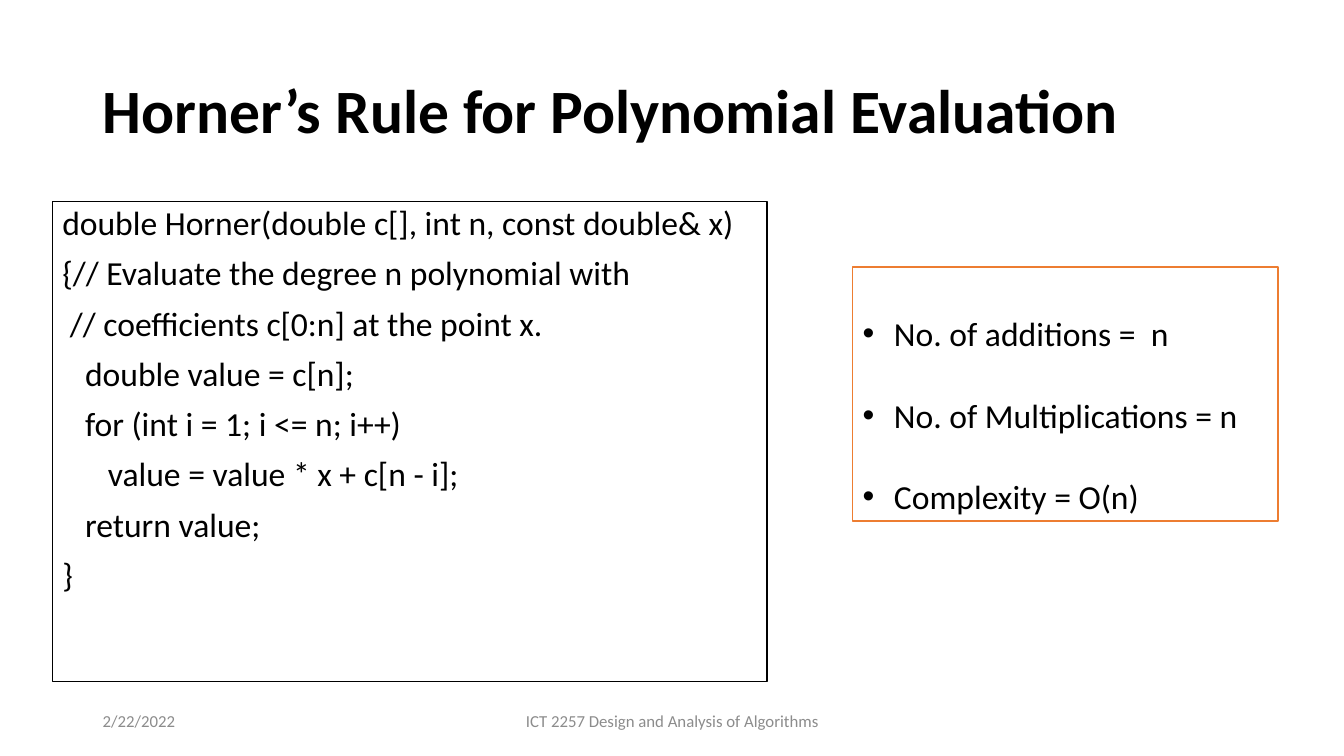
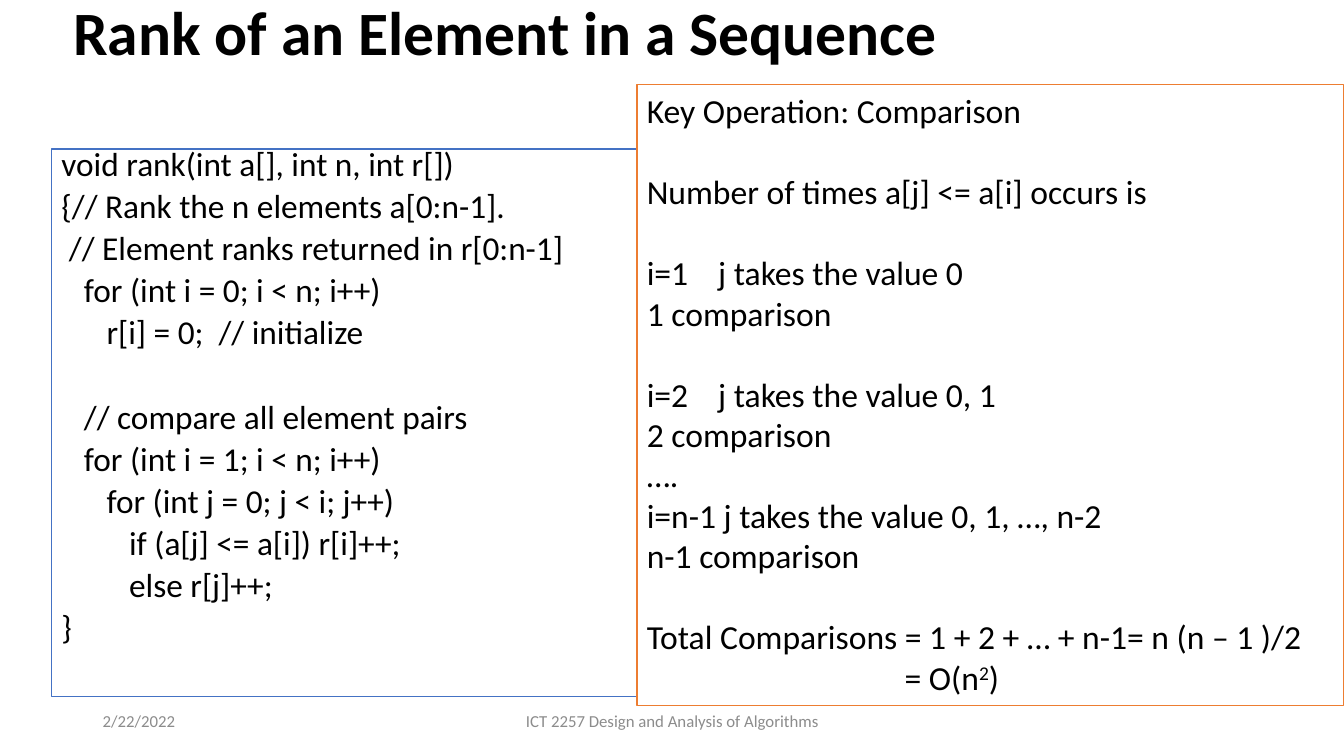
import pptx
import pptx.enum.shapes
import pptx.enum.text
import pptx.oxml.ns
import pptx.util
from lxml import etree
from pptx.dml.color import RGBColor
from pptx.util import Cm, Pt

ANCHOR = pptx.enum.text.MSO_ANCHOR
ALIGN = pptx.enum.text.PP_ALIGN
FONT = "Calibri"
LINE_HEIGHT = 1.22  # single line height of the font, in ems
COLOURS = {"text": "000000", "paper": "FFFFFF", "footer": "8C8C8C",
           "black": "000000", "blue": "4472C4", "orange": "ED7D31"}

TITLE = {"size": 44, "bold": True, "spacing": 0.9}
FOOTER = {"size": 12, "colour": "footer"}
FOOTERS = [
    ("2/22/2022", (2.34, 17.65, 7.62, 1.02), ALIGN.LEFT),
    ("ICT 2257 Design and Analysis of Algorithms", (11.23, 17.65, 11.43, 1.02), ALIGN.CENTER),
]

# Text is a list of groups of lines; one line's height is left between groups.
# A line is a string, or a dict with its runs and indent.
SLIDES = [
    {
        "title": ("Horner’s Rule for Polynomial Evaluation", (2.34, 1.02, 29.21, 3.68)),
        "boxes": [
            {
                "at": (1.32, 5.08, 18.01, 12.09), "line": "black",
                "style": {"size": 24, "spacing": 0.9, "before": 10},
                "groups": [[
                    "double Horner(double c[], int n, const double& x)",
                    "{// Evaluate the degree n polynomial with",
                    " // coefficients c[0:n] at the point x.",
                    "   double value = c[n];",
                    "   for (int i = 1; i <= n; i++)",
                    "      value = value * x + c[n - i];",
                    "   return value;",
                    "}",
                ]],
            },
            {
                "at": (21.49, 6.73, 10.72, 6.4), "line": "orange", "anchor": ANCHOR.BOTTOM,
                "style": {"size": 24, "bullet": True},
                "groups": [
                    ["No. of additions =  n"],
                    ["No. of Multiplications = n"],
                    ["Complexity = O(n)"],
                ],
            },
        ],
    },
    {
        "title": ("Rank of an Element in a Sequence", (1.6, 0, 29.21, 1.8)),
        "boxes": [
            {
                "at": (1.3, 3.76, 14.76, 13.79), "line": "blue",
                "style": {"size": 23.8, "spacing": 0.7, "before": 10},
                "groups": [
                    [
                        "void rank(int a[], int n, int r[])",
                        "{// Rank the n elements a[0:n-1].",
                        " // Element ranks returned in r[0:n-1]",
                        "   for (int i = 0; i < n; i++)",
                        "      r[i] = 0;  // initialize",
                    ],
                    [
                        "   // compare all element pairs",
                        "   for (int i = 1; i < n; i++)",
                        "      for (int j = 0; j < i; j++)",
                        "         if (a[j] <= a[i]) r[i]++;",
                        "         else r[j]++;",
                        "}",
                    ],
                ],
            },
            {
                "at": (16.05, 2.13, 17.81, 15.65), "line": "orange",
                "style": {"size": 24, "tab": 1.8},
                "groups": [
                    ["Key Operation: Comparison"],
                    ["Number of times a[j] <= a[i] occurs is"],
                    ["i=1\tj takes the value 0", "1 comparison"],
                    ["i=2\tj takes the value 0, 1", "2 comparison", "….",
                     "i=n-1 j takes the value 0, 1, …, n-2", "n-1 comparison"],
                    ["Total Comparisons = 1 + 2 + … + n-1= n (n – 1 )/2",
                     {"runs": [("= O(n", False), ("2", True), (")", False)], "indent": 6.5}],
                ],
            },
        ],
    },
]


def colour(name):
    return RGBColor.from_string(COLOURS[name])


def add_element(parent, tag, **attributes):
    return etree.SubElement(parent, pptx.oxml.ns.qn(tag), **attributes)


def format_paragraph(p, style, indent, before):
    """Set spacing and indent, then the bullet or tab stop."""
    values = {"alignment": style.get("align"), "line_spacing": style.get("spacing"),
              "space_before": Pt(before)}
    for name, value in values.items():
        setattr(p, name, value)
    pPr = p._p.get_or_add_pPr()
    if indent:
        pPr.set("marL", str(Cm(indent)))
    if style.get("bullet"):
        hang = Cm(0.79)
        pPr.set("marL", str(hang))
        pPr.set("indent", str(-hang))
        add_element(pPr, "a:buFont", typeface="Arial")
        add_element(pPr, "a:buChar", char="•")
    if "tab" in style:
        stops = add_element(pPr, "a:tabLst")
        add_element(stops, "a:tab", pos=str(Cm(style["tab"])), algn="l")


def add_run(p, text, style, superscript):
    r = p.add_run()
    r.text = text
    values = {"name": FONT, "size": Pt(style["size"]), "bold": style.get("bold", False)}
    for name, value in values.items():
        setattr(r.font, name, value)
    r.font.color.rgb = colour(style.get("colour", "text"))
    if superscript:
        r.font._element.set("baseline", "30000")


def write(tf, groups, style, anchor):
    tf.word_wrap = True
    tf.vertical_anchor = anchor
    before = style.get("before", 0)
    gap = before + style["size"] * LINE_HEIGHT * style.get("spacing", 1)
    for g, group in enumerate(groups):
        for i, line in enumerate(group):
            first = g == i == 0
            p = tf.paragraphs[0] if first else tf.add_paragraph()
            if isinstance(line, str):
                line = {"runs": [(line, False)]}
            space = 0 if first else before + (gap if i == 0 else 0)
            format_paragraph(p, {"align": ALIGN.LEFT, **style}, line.get("indent"), space)
            for text, superscript in line["runs"]:
                add_run(p, text, style, superscript)


def add_label(s, text, at, style):
    tf = s.shapes.add_textbox(*map(Cm, at)).text_frame
    tf.margin_top = tf.margin_bottom = 0
    write(tf, [[text]], style, ANCHOR.MIDDLE)


def add_box(s, box):
    sp = s.shapes.add_shape(pptx.enum.shapes.MSO_SHAPE.RECTANGLE, *map(Cm, box["at"]))
    sp.shadow.inherit = False
    sp.fill.solid()
    sp.fill.fore_color.rgb = colour("paper")
    sp.line.color.rgb = colour(box["line"])
    sp.line.width = Pt(1)
    write(sp.text_frame, box["groups"], box["style"], box.get("anchor", ANCHOR.TOP))


def main():
    prs = pptx.Presentation()
    prs.slide_width, prs.slide_height = Cm(33.87), Cm(19.05)
    for content in SLIDES:
        s = prs.slides.add_slide(prs.slide_layouts[6])
        add_label(s, *content["title"], TITLE)
        for text, at, align in FOOTERS:
            add_label(s, text, at, {**FOOTER, "align": align})
        for box in content["boxes"]:
            add_box(s, box)
    prs.save("out.pptx")


if __name__ == "__main__":
    main()
